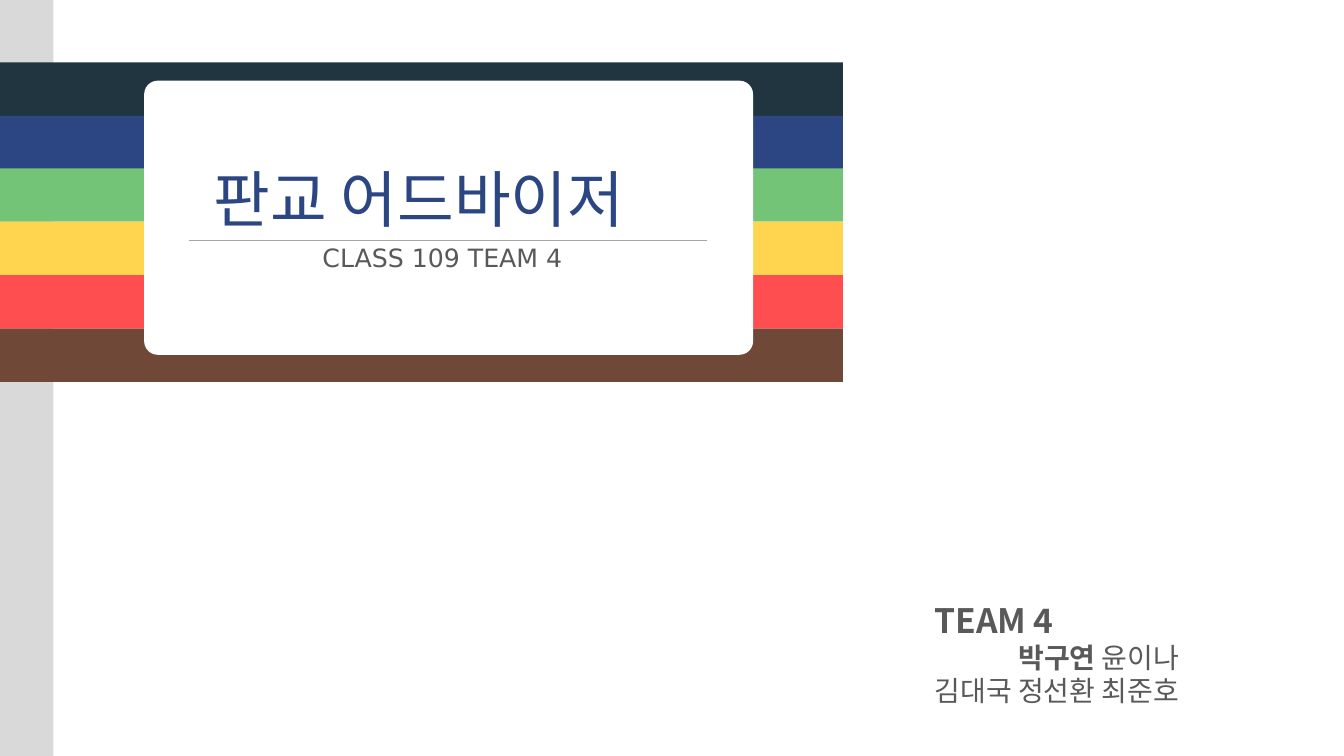
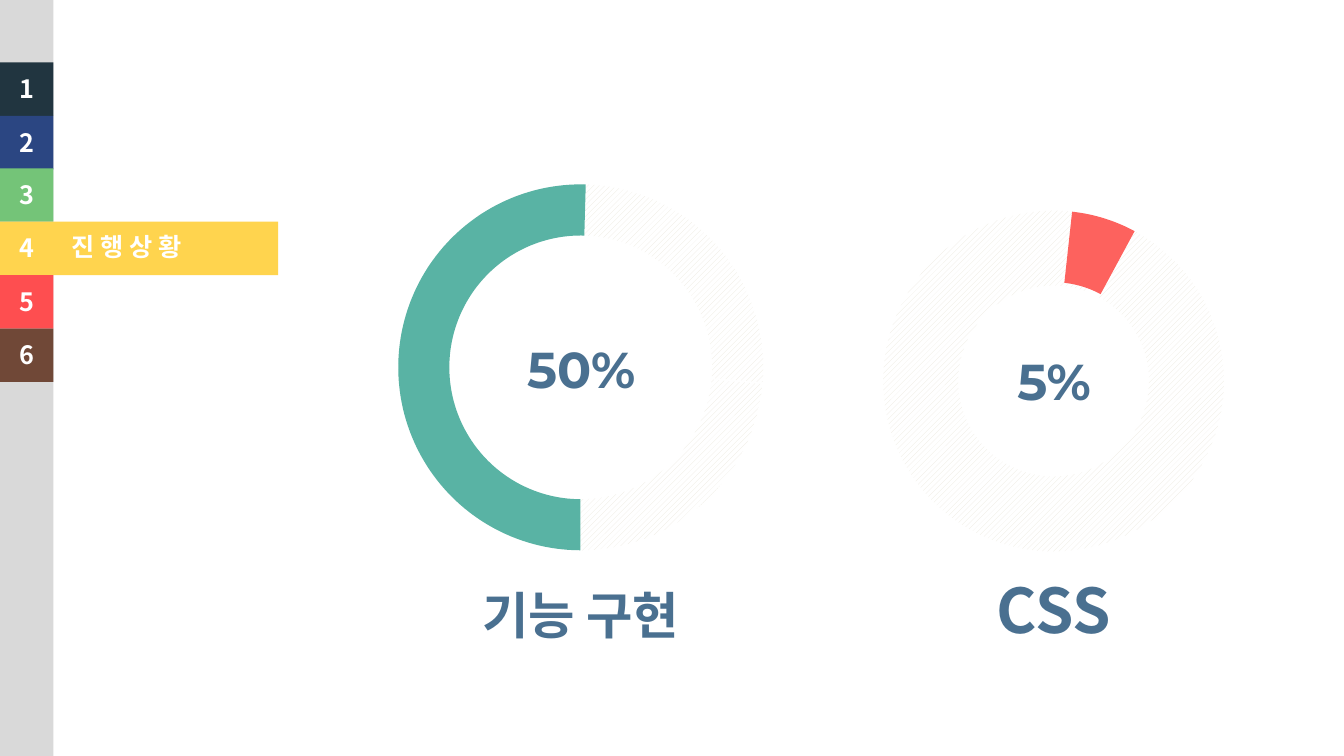
import pptx
import pptx.util
import pptx.dml.color
import pptx.enum.dml
import pptx.enum.shapes
import pptx.enum.text
import pptx.oxml.ns
from lxml import etree

PX = 9144  # EMU per px, 100 px to the inch
PAGE_WIDTH, PAGE_HEIGHT = 1333, 750
COLOURS = {
    "navy": "213540", "blue": "2B4682", "green": "74C478",
    "yellow": "FFD44E", "red": "FE4E50", "brown": "704837",
    "rail": "D9D9D9", "rule": "A6A6A6", "white": "FFFFFF", "grey": "595959",
    "steel": "4A7090", "teal": "59B3A4", "coral": "FD625E", "hatch": "EBE8DD",
}
BANDS = ["navy", "blue", "green", "yellow", "red", "brown"]
BAND_TOP, BAND_STEP, BAND_SIZE = 62, 52.7, 53
KOREAN, LATIN = "Noto Sans CJK KR", "Montserrat"

SHAPES = pptx.enum.shapes.MSO_SHAPE
ALIGN = pptx.enum.text.PP_ALIGN
LABEL = {"name": KOREAN, "size": 18, "bold": True, "colour": "white"}
FIGURE = {"name": LATIN, "size": 36, "bold": True, "colour": "steel"}
CAPTION = FIGURE | {"name": KOREAN}
TEAM = {"name": KOREAN, "size": 20, "bold": False, "colour": "grey"}


def rgb(name):
    return pptx.dml.color.RGBColor.from_string(COLOURS[name])


def place(*lengths):
    return [pptx.util.Emu(length * PX) for length in lengths]


def add_block(page, kind, area, colour, adjustments=()):
    """Filled shape without outline; the hatch colour gives a striped fill."""
    block = page.shapes.add_shape(kind, *place(*area))
    block.shadow.inherit = False
    block.line.fill.background()
    if colour == "hatch":
        block.fill.patterned()
        block.fill.pattern = pptx.enum.dml.MSO_PATTERN.WIDE_UPWARD_DIAGONAL
        block.fill.fore_color.rgb = rgb(colour)
        block.fill.back_color.rgb = rgb("white")
    else:
        block.fill.solid()
        block.fill.fore_color.rgb = rgb(colour)
    for index, value in enumerate(adjustments):
        block.adjustments[index] = value
    return block


def add_arc(page, area, colour, start, end, thickness):
    """Ring segment between two angles in degrees."""
    add_block(page, SHAPES.BLOCK_ARC, area, colour,
              (start * 0.6, end * 0.6, thickness))


def style_span(span, style):
    values = {"name": style["name"], "size": pptx.util.Pt(style["size"]),
              "bold": style.get("bold")}
    for attribute, value in values.items():
        setattr(span.font, attribute, value)
    if "gradient" in style:
        span.font.fill.gradient()
        span.font.fill.gradient_angle = 0
        for stop, colour in zip(span.font.fill.gradient_stops, style["gradient"]):
            stop.color.rgb = rgb(colour)
    else:
        span.font.color.rgb = rgb(style["colour"])
    # East Asian text takes its font from a separate element
    etree.SubElement(span.font._element, pptx.oxml.ns.qn("a:ea"),
                     typeface=style["name"])


def add_text(page, area, paragraphs, wrap=False):
    """Text box from (alignment, [(text, style), ...]) paragraphs."""
    frame = page.shapes.add_textbox(*place(*area)).text_frame
    frame.word_wrap = wrap
    frame.auto_size = pptx.enum.text.MSO_AUTO_SIZE.SHAPE_TO_FIT_TEXT
    for index, (alignment, spans) in enumerate(paragraphs):
        para = frame.add_paragraph() if index else frame.paragraphs[0]
        para.alignment = alignment
        for text, style in spans:
            span = para.add_run()
            span.text = text
            style_span(span, style)


def add_rule(page, left, right, top):
    rule = page.shapes.add_connector(
        pptx.enum.shapes.MSO_CONNECTOR.STRAIGHT, *place(left, top, right, top))
    rule.line.color.rgb = rgb("rule")
    rule.line.width = pptx.util.Pt(0.5)
    etree.SubElement(rule._element.spPr, pptx.oxml.ns.qn("a:effectLst"))


def add_page(deck, widths, numbered=False):
    """Blank page with the grey rail and the six colour bands."""
    page = deck.slides.add_slide(deck.slide_layouts[6])
    add_block(page, SHAPES.RECTANGLE, (0, 0, BAND_SIZE, PAGE_HEIGHT), "rail")
    for index, (colour, width) in enumerate(zip(BANDS, widths)):
        top = BAND_TOP + round(index * BAND_STEP)
        add_block(page, SHAPES.RECTANGLE, (0, top, width, BAND_SIZE), colour)
        if numbered:
            add_text(page, (9, top + 6, 35, 40),
                     [(ALIGN.LEFT, [(str(index + 1), LABEL)])])
    return page


def add_ring(page, area, track, value, figure, caption):
    """Hatched ring with a coloured share, a figure inside and a caption below."""
    add_arc(page, area, "hatch", *track)
    add_arc(page, area, *value)
    for text_area, text, style in (figure, caption):
        add_text(page, text_area, [(ALIGN.CENTER, [(text, style)])], wrap=True)


def build_cover(deck):
    page = add_page(deck, [836] * len(BANDS))
    add_block(page, SHAPES.ROUNDED_RECTANGLE, (143, 80, 604, 272), "white", [0.05])
    add_text(page, (310, 236, 267, 40), [(ALIGN.LEFT, [
        ("CLASS 109 TEAM 4", {"name": "DejaVu Sans", "size": 18, "colour": "grey"})])])
    add_text(page, (202, 155, 483, 84), [(ALIGN.LEFT, [
        ("판교 어드바이저", {"name": KOREAN, "size": 44, "gradient": ("blue", "red")})])])
    add_rule(page, 187, 701, 238)
    # Team members
    add_text(page, (917, 590, 354, 118), [
        (ALIGN.LEFT, [("TEAM 4", TEAM | {"size": 24, "bold": True})]),
        (ALIGN.RIGHT, [("박구연", TEAM | {"bold": True}), (" 윤이나", TEAM)]),
        (ALIGN.RIGHT, [("김대국 정선환 최준호", TEAM)]),
    ])


def build_progress(deck):
    widths = [276 if colour == "yellow" else BAND_SIZE for colour in BANDS]
    page = add_page(deck, widths, numbered=True)
    add_text(page, (61, 225, 148, 40), [(ALIGN.LEFT, [("진 행 상 황", LABEL)])])
    add_ring(page, (395, 183, 362, 363), (5.27, 4.68, 0.14),
             ("teal", 90.13, 271.56, 0.14),
             ((507, 330, 139, 71), "50%", FIGURE),
             ((456, 575, 240, 71), "기능 구현", CAPTION))
    add_ring(page, (876, 209, 338, 338), (298.61, 290.65, 0.22),
             ("coral", 276.24, 298.39, 0.21),
             ((976, 342, 139, 71), "5%", FIGURE),
             ((959, 562, 172, 84), "CSS", CAPTION | {"size": 44}))


def main():
    deck = pptx.Presentation()
    deck.slide_width, deck.slide_height = place(PAGE_WIDTH, PAGE_HEIGHT)
    build_cover(deck)
    build_progress(deck)
    deck.save("out.pptx")


if __name__ == "__main__":
    main()
